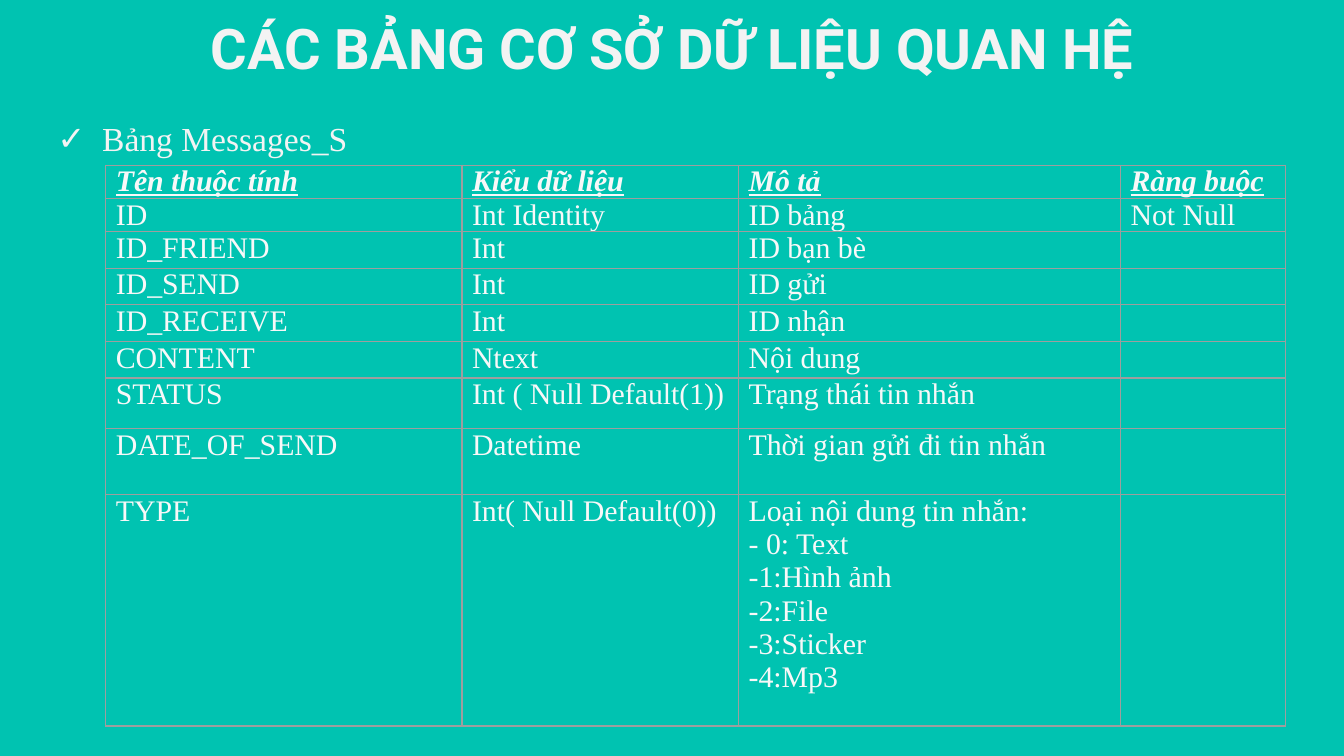
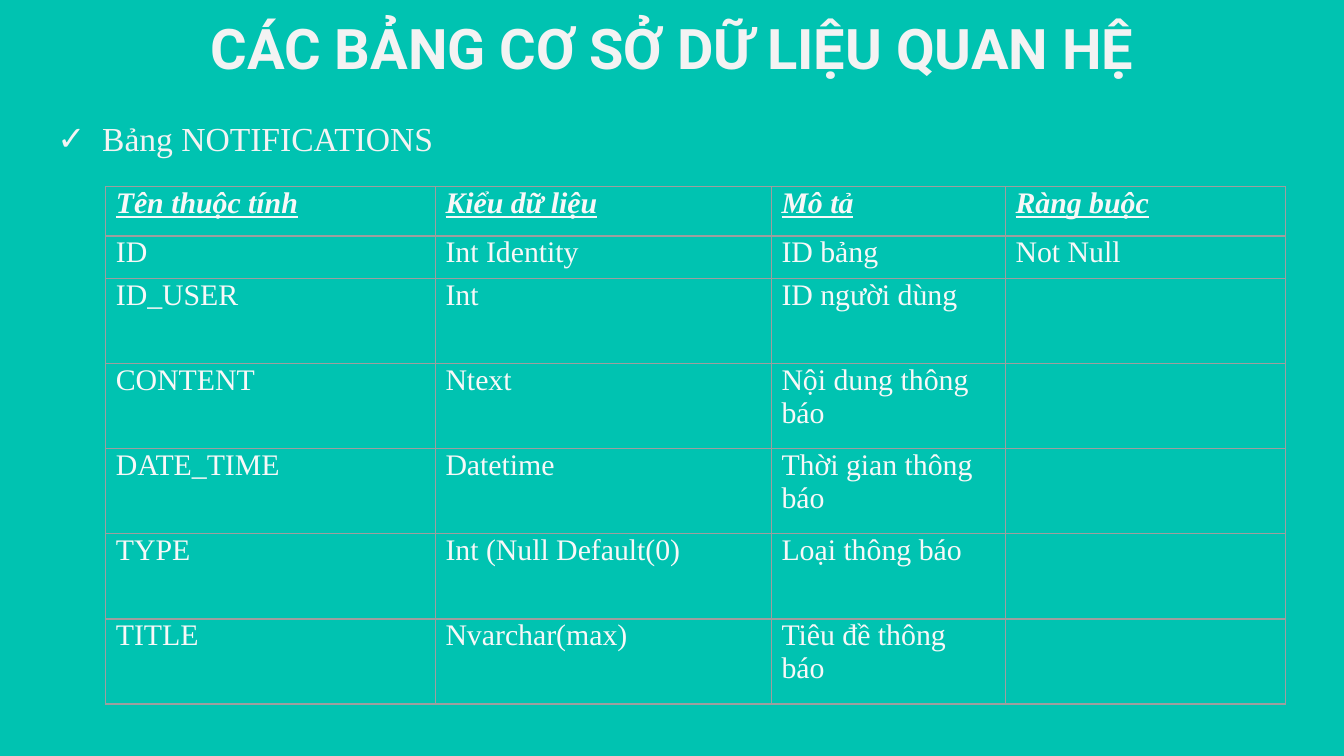
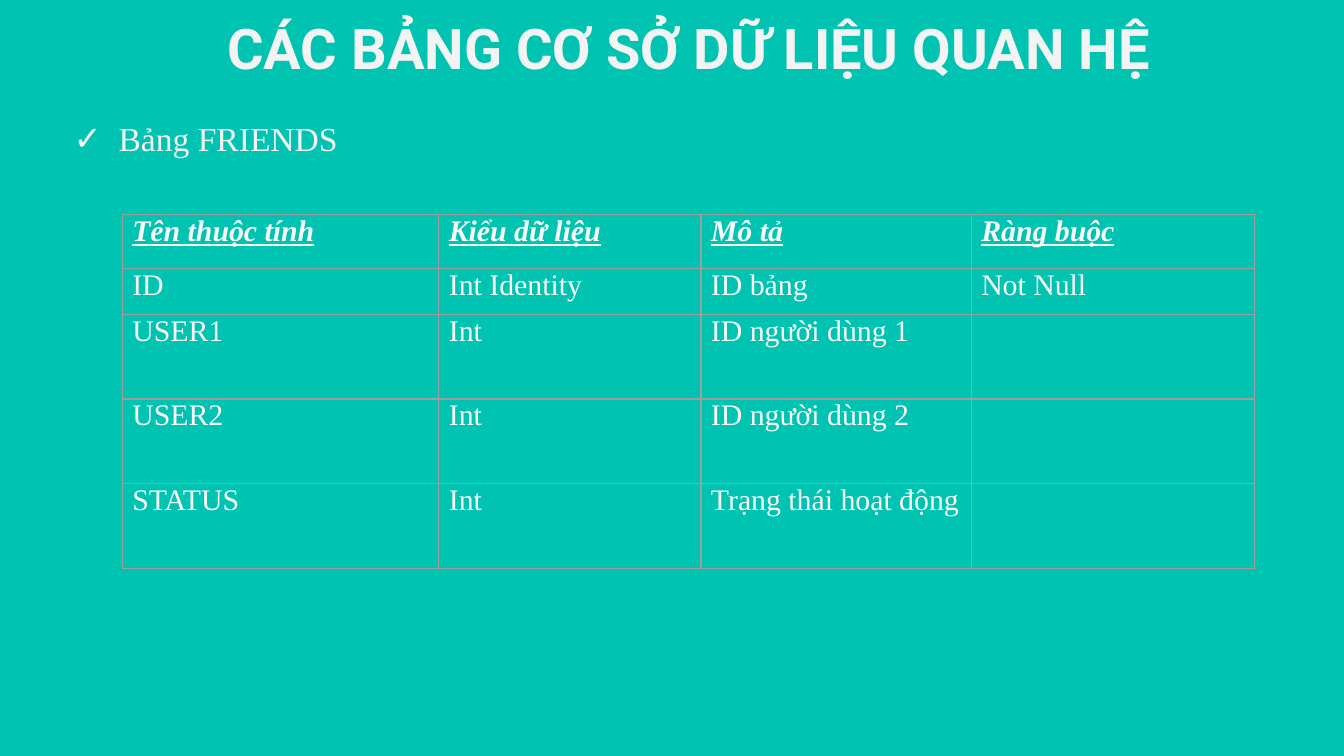
"""Build three slides that describe relational database tables."""
from lxml import etree
from pptx import Presentation
from pptx.dml.color import RGBColor
from pptx.enum.text import MSO_ANCHOR, MSO_AUTO_SIZE, PP_ALIGN
from pptx.oxml.ns import qn
from pptx.util import Pt

TEAL = RGBColor(0x00, 0xC3, 0xB1)
LIGHT = RGBColor(0xF3, 0xF3, 0xF3)
CELL_TEXT = RGBColor(0xF8, 0xF8, 0xF8)
GREY = RGBColor(0x9E, 0x9E, 0x9E)
TOP, NO_FIT = MSO_ANCHOR.TOP, MSO_AUTO_SIZE.NONE
LEFT, CENTER = PP_ALIGN.LEFT, PP_ALIGN.CENTER

TITLE = "CÁC BẢNG CƠ SỞ DỮ LIỆU QUAN HỆ"
HEADER = ("Tên thuộc tính", "Kiểu dữ liệu", "Mô tả", "Ràng buộc")
ID_ROW = ("ID", "Int Identity", "ID bảng", "Not Null")
SLIDES = [
    {
        "name": "Bảng Messages_S",
        "shift": 0,
        "top": 88.5,
        "columns": (190.8, 148.2, 204.6, 88.2),
        "heights": [17.82] * 6 + [27.3, 35.4, 123.8],
        "rows": [
            ("ID_FRIEND", "Int", "ID bạn bè", ""),
            ("ID_SEND", "Int", "ID gửi", ""),
            ("ID_RECEIVE", "Int", "ID nhận", ""),
            ("CONTENT", "Ntext", "Nội dung", ""),
            ("STATUS", "Int ( Null Default(1))", "Trạng thái tin nhắn", ""),
            ("DATE_OF_SEND", "Datetime", "Thời gian gửi đi tin nhắn", ""),
            ("TYPE", "Int( Null Default(0))",
             "Loại nội dung tin nhắn:\v- 0: Text\n-1:Hình ảnh\n-2:File\n-3:Sticker\n-4:Mp3", ""),
        ],
    },
    {
        "name": "Bảng NOTIFICATIONS",
        "shift": 0,
        "top": 100,
        "columns": (176.6, 180, 125.4, 149.8),
        "heights": [26.5, 22.8] + [45.6] * 5,
        "rows": [
            ("ID_USER", "Int", "ID người dùng", ""),
            ("CONTENT", "Ntext", "Nội dung thông báo", ""),
            ("DATE_TIME", "Datetime", "Thời gian thông báo", ""),
            ("TYPE", "Int (Null Default(0)", "Loại thông báo", ""),
            ("TITLE", "Nvarchar(max)", "Tiêu đề thông báo", ""),
        ],
    },
    {
        "name": "Bảng FRIENDS",
        "shift": 8.8,
        "top": 115,
        "columns": (169.6, 140.4, 144.8, 151.8),
        "heights": [28.8, 24.7] + [45.3] * 3,
        "rows": [
            ("USER1", "Int", "ID người dùng 1", ""),
            ("USER2", "Int", "ID người dùng 2", ""),
            ("STATUS", "Int", "Trạng thái hoạt động", ""),
        ],
    },
]

TABLE_LEFT = 56.7
TITLE_AREA = (56.7, 0, 607, 45.4)
LIST_AREA = (11.5, 54, 677.5, 332.6)
TITLE_FONT = {"name": "Roboto", "size": Pt(30), "bold": True}
LIST_FONT = {"name": "Times New Roman", "size": Pt(18), "bold": False}
CELL_FONT = {"name": "Times New Roman", "size": Pt(16), "bold": False}
HEADER_FONT = {**CELL_FONT, "bold": True, "italic": True, "underline": True}
MARGINS = ("margin_left", "margin_top", "margin_right", "margin_bottom")
FRAME_FORMAT = {**dict.fromkeys(MARGINS, Pt(7.2)), "word_wrap": True,
                "auto_size": NO_FIT, "vertical_anchor": TOP}
CELL_FORMAT = {**dict(zip(MARGINS, (Pt(5.4), 0, Pt(5.4), 0))), "vertical_anchor": TOP}
TITLE_PARA = {"alignment": CENTER}
LIST_PARA = {"alignment": LEFT, "space_before": 0, "line_spacing": 1.1}


def apply(target, values):
    """Set each attribute named in values."""
    for name, value in values.items():
        setattr(target, name, value)


def style_spans(para, font, color):
    """Format every run of a paragraph."""
    for span in para.runs:
        apply(span.font, font)
        span.font.color.rgb = color


def add_color(parent, tag, color):
    """Append a colour-holding element."""
    holder = etree.SubElement(parent, qn(tag))
    etree.SubElement(holder, qn("a:srgbClr"), val=str(color))


def fill_placeholder(box, area, shift, text, font, para_format):
    """Place a placeholder, write its text and return the paragraph."""
    left, top, width, height = area
    apply(box, {"left": Pt(left + shift), "top": Pt(top),
                "width": Pt(width), "height": Pt(height)})
    box.text_frame.text = text
    apply(box.text_frame, FRAME_FORMAT)
    para = box.text_frame.paragraphs[0]
    apply(para, para_format)
    style_spans(para, font, LIGHT)
    return para


def add_check_mark(para):
    """Give a paragraph a hanging check mark."""
    properties = para._p.get_or_add_pPr()
    properties.set("marL", str(Pt(36)))
    properties.set("indent", str(-Pt(24)))
    add_color(properties, "a:buClr", LIGHT)
    etree.SubElement(properties, qn("a:buChar"), char="✓")


def add_borders(cell):
    """Draw a thin grey line on all sides of a cell."""
    properties = cell._tc.get_or_add_tcPr()
    for position, side in enumerate(("lnL", "lnR", "lnT", "lnB")):
        line = etree.Element(qn(f"a:{side}"), w=str(Pt(0.75)))
        add_color(line, "a:solidFill", GREY)
        properties.insert(position, line)


def fill_cell(cell, text, font):
    """Write and format one table cell."""
    cell.text = text
    apply(cell, CELL_FORMAT)
    cell.fill.background()
    add_borders(cell)
    for para in cell.text_frame.paragraphs:
        style_spans(para, font, CELL_TEXT)
        if not text:
            etree.SubElement(para._p, qn("a:endParaRPr"), sz="1600")


def add_attribute_table(page, content):
    """Add the table of attributes to a slide."""
    rows = [HEADER, ID_ROW, *content["rows"]]
    columns, heights = content["columns"], content["heights"]
    table = page.shapes.add_table(
        len(rows), len(columns), Pt(TABLE_LEFT + content["shift"]), Pt(content["top"]),
        Pt(sum(columns)), Pt(sum(heights))).table
    apply(table, {"first_row": False, "horz_banding": False})
    for column, width in zip(table.columns, columns):
        column.width = Pt(width)
    for number, (row, height, texts) in enumerate(zip(table.rows, heights, rows)):
        row.height = Pt(height)
        for cell, text in zip(row.cells, texts):
            fill_cell(cell, text, CELL_FONT if number else HEADER_FONT)


def main():
    """Build and save the deck."""
    deck = Presentation()
    apply(deck, {"slide_width": Pt(720), "slide_height": Pt(405)})
    background = deck.slide_master.background.fill
    background.solid()
    background.fore_color.rgb = TEAL
    for content in SLIDES:
        page = deck.slides.add_slide(deck.slide_layouts[1])
        title, body = page.placeholders
        shift = content["shift"]
        fill_placeholder(title, TITLE_AREA, shift, TITLE, TITLE_FONT, TITLE_PARA)
        add_check_mark(fill_placeholder(
            body, LIST_AREA, shift, content["name"], LIST_FONT, LIST_PARA))
        add_attribute_table(page, content)
    deck.save("out.pptx")


if __name__ == "__main__":
    main()
